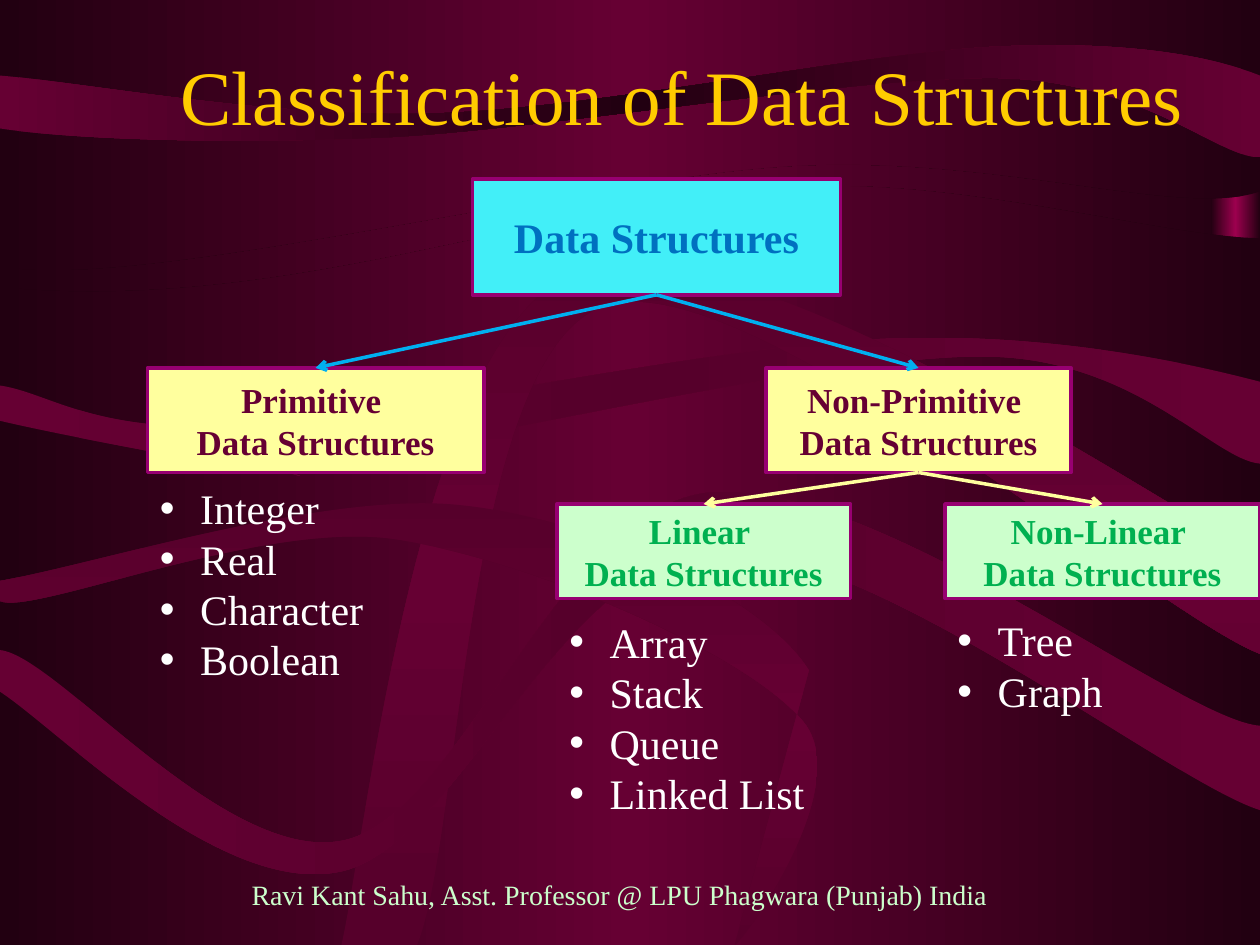
import copy

import pptx
import pptx.dml.color
import pptx.enum.shapes
import pptx.enum.text
import pptx.oxml
import pptx.oxml.ns
import pptx.util
from pptx.util import Inches

ANCHOR = pptx.enum.text.MSO_ANCHOR
ALIGN = pptx.enum.text.PP_ALIGN
DARK, WINE, PLUM = "220011", "660033", "56002B"


def colour(hex_code):
    return pptx.dml.color.RGBColor.from_string(hex_code)


def xml_child(parent, tag, **attributes):
    element = parent.makeelement(pptx.oxml.ns.qn(tag), attributes)
    parent.append(element)
    return element


def write(frame, lines, size, ink, font="Times New Roman", bold=False,
          align=ALIGN.CENTER, anchor=ANCHOR.TOP, bullet_indent=None, inset=0.05):
    """Fill a text frame with one paragraph per line."""
    frame.word_wrap = True
    frame.vertical_anchor = anchor
    frame.margin_top = frame.margin_bottom = Inches(inset)
    for number, line in enumerate(lines):
        paragraph = frame.paragraphs[0] if number == 0 else frame.add_paragraph()
        paragraph.alignment = align
        if bullet_indent:
            properties = paragraph._p.get_or_add_pPr()
            properties.set("marL", str(bullet_indent))
            properties.set("indent", str(-bullet_indent))
            xml_child(properties, "a:buFont", typeface="Arial")
            xml_child(properties, "a:buChar", char="•")
        run = paragraph.add_run()
        run.text = line
        run.font.name = font
        run.font.size = pptx.util.Pt(size)
        run.font.bold = bold
        run.font.color.rgb = colour(ink)


def blend(fill, owner, edge, middle, angle=0):
    """Gradient that runs from edge colour to middle colour and back."""
    fill.gradient()
    fill.gradient_angle = angle
    first, last = fill.gradient_stops
    first.position, last.position = 0, 1
    first.color.rgb, last.color.rgb = colour(middle), colour(edge)
    stops = owner.xpath(".//a:gsLst")[0]
    centre = copy.deepcopy(stops[0])
    centre.set("pos", "50000")
    stops.insert(1, centre)
    first.color.rgb = colour(edge)


def bend(shape, steps):
    """Join the three segments of each six-number step into one cubic curve."""
    segments = iter(shape._element.xpath(".//a:lnTo"))
    for step in steps:
        start = next(segments)
        if len(step) == 6:
            curve = start.makeelement(pptx.oxml.ns.qn("a:cubicBezTo"), {})
            start.addprevious(curve)
            for segment in (start, next(segments), next(segments)):
                curve.append(segment[0])
                segment.getparent().remove(segment)


class Diagram:
    border = "970071"
    line_width = pptx.util.Pt(2)

    def __init__(self, slide):
        self.slide = slide
        self.shapes = slide.shapes

    def background(self, edge, middle):
        fill = self.slide.background.fill
        blend(fill, self.slide.element, edge, middle)

    def ribbon(self, outline, edge, middle, angle=0):
        """Closed outline: two numbers are a corner, six a cubic curve."""
        points = [(Inches(step[i]), Inches(step[i + 1]))
                  for step in outline for i in range(0, len(step), 2)]
        builder = self.shapes.build_freeform(*points[0], scale=1.0)
        builder.add_line_segments(points[1:], close=True)
        shape = builder.convert_to_shape()
        bend(shape, outline[1:])
        self.decorate(shape, edge, middle, angle)

    def band(self, left, top, width, height, edge, middle):
        self.decorate(self.rectangle(left, top, width, height), edge, middle)

    def decorate(self, shape, edge, middle, angle=0):
        shape.shadow.inherit = False
        shape.line.fill.background()
        blend(shape.fill, shape._element.spPr, edge, middle, angle)

    def rectangle(self, left, top, width, height):
        shape = self.shapes.add_shape(
            pptx.enum.shapes.MSO_SHAPE.RECTANGLE,
            Inches(left), Inches(top), Inches(width), Inches(height))
        shape.shadow.inherit = False
        return shape

    def node(self, left, top, width, height, lines, fill, ink, size=20):
        box = self.rectangle(left, top, width, height)
        box.fill.solid()
        box.fill.fore_color.rgb = colour(fill)
        box.line.color.rgb = colour(self.border)
        box.line.width = self.line_width
        write(box.text_frame, lines, size, ink, bold=True, anchor=ANCHOR.MIDDLE)
        return box

    def arrow(self, parent, child, ink):
        """Arrow from the bottom centre of parent to the top centre of child."""
        link = self.shapes.add_connector(
            pptx.enum.shapes.MSO_CONNECTOR.STRAIGHT,
            parent.left + parent.width // 2, parent.top + parent.height,
            child.left + child.width // 2, child.top)
        link.line.color.rgb = colour(ink)
        link.line.width = self.line_width
        xml_child(link.line._get_or_add_ln(), "a:tailEnd", type="arrow")
        xml_child(link._element.spPr, "a:effectLst")

    def label(self, left, top, width, height, lines, size, ink, **style):
        box = self.shapes.add_textbox(
            Inches(left), Inches(top), Inches(width), Inches(height))
        write(box.text_frame, lines, size, ink, **style)

    def bullets(self, left, top, height, items):
        self.label(left, top, 2.33, height, items, 24, "FFFFFF", align=ALIGN.LEFT,
                   anchor=ANCHOR.BOTTOM, bullet_indent=Inches(0.32))


def main():
    deck = pptx.Presentation()
    deck.slide_width, deck.slide_height = Inches(10), Inches(7.5)
    diagram = Diagram(deck.slides.add_slide(deck.slide_layouts[6]))

    # Backdrop of flowing ribbons
    diagram.background(DARK, WINE)
    diagram.band(9.61, 0.49, 0.39, 3.45, DARK, "9C004E")
    diagram.ribbon([(0, 0), (10, 0), (10, 1.52),
                    (9.38, 1.74, 7.92, 1.22, 6.25, 1.32),
                    (4.58, 1.42, 1.04, 2.33, 0, 2.11)], DARK, WINE)
    diagram.ribbon([(0, 2.28), (1.78, 2.45, 3.4, 1.94, 4.58, 1.74),
                    (4.58, 1.74, 5.67, 1.59, 5.86, 1.55),
                    (7.15, 1.27, 9.17, 1.89, 10, 1.89),
                    (10, 7.5), (0, 7.5)], DARK, WINE)
    diagram.ribbon([(0, 0.6), (0, 1.02), (0.51, 1.1, 1.76, 1.15, 3.08, 1.09),
                    (4.4, 1.02, 6.79, 0.6, 7.94, 0.62),
                    (9.09, 0.65, 9.66, 1.25, 10, 1.25), (10, 0.6),
                    (9.65, 0.46, 9.01, 0.32, 7.92, 0.37),
                    (6.82, 0.42, 4.77, 0.86, 3.45, 0.9),
                    (2.13, 0.94, 0.72, 0.66, 0, 0.6)], WINE, DARK)
    diagram.ribbon([(0, 3.06), (0, 3.34), (0.37, 3.43, 1.75, 3.7, 2.22, 3.75),
                    (2.69, 3.8, 1.9, 3.79, 2.82, 3.64),
                    (3.75, 3.48, 6.6, 2.82, 7.8, 2.83),
                    (9, 2.83, 9.63, 3.65, 10, 3.68), (10, 3.03),
                    (9.5, 2.9, 8.36, 2.63, 7.01, 2.69),
                    (5.66, 2.74, 3.07, 3.32, 1.9, 3.38),
                    (0.73, 3.44, 0.4, 3.12, 0, 3.06)], WINE, PLUM)
    diagram.ribbon([(2.71, 7.5), (2.91, 6.61, 3.32, 2.69, 4.54, 2.18),
                    (5.75, 1.66, 9.09, 3.92, 10, 4.42), (10, 5.19),
                    (9.13, 4.85, 5.91, 2.05, 4.79, 2.43),
                    (3.68, 2.82, 3.66, 6.66, 3.31, 7.5)], PLUM, WINE, 90)
    diagram.ribbon([(0, 5.16), (0, 5.49), (0.45, 5.78, 1.74, 7.11, 2.69, 6.92),
                    (3.63, 6.74, 4.43, 4.46, 5.65, 4.37),
                    (6.87, 4.29, 9.27, 6.2, 10, 6.43), (10, 5.76),
                    (9.38, 5.72, 6.91, 3.77, 5.62, 3.91),
                    (4.41, 4.06, 3.67, 6.46, 2.73, 6.67),
                    (1.79, 6.87, 0.45, 5.2, 0, 5.16)], WINE, PLUM)
    diagram.ribbon([(0, 4.61), (0, 4.77), (0.26, 4.89, 2.08, 4.12, 3.14, 4.28),
                    (4.2, 4.44, 5.92, 5.18, 6.37, 5.72),
                    (6.82, 6.25, 5.82, 7.57, 5.83, 7.5), (6.42, 5.32),
                    (6.06, 4.74, 4.73, 4.12, 3.66, 4.01),
                    (2.59, 3.89, 0.76, 4.48, 0, 4.61)], PLUM, WINE, 90)

    # Title and footer
    diagram.label(0.83, 0.33, 9.17, 0.84, ["Classification of Data Structures"],
                  44, "FFCC00", anchor=ANCHOR.MIDDLE)
    diagram.label(1.08, 6.83, 7.67, 0.5,
                  ["Ravi Kant Sahu, Asst. Professor @ LPU Phagwara (Punjab) India"],
                  16, "CCFFCC", anchor=ANCHOR.BOTTOM, inset=0.1)

    # Tree of categories
    root = diagram.node(3.75, 1.42, 2.92, 0.92, ["Data Structures"],
                        "42EFF8", "0070C0", size=24)
    primitive, non_primitive, linear, non_linear = [
        diagram.node(*place, [kind + " ", "Data Structures"], fill, ink)
        for kind, place, fill, ink in [
            ("Primitive", (1.17, 2.92, 2.67, 0.83), "FFFF9E", WINE),
            ("Non-Primitive", (6.08, 2.92, 2.42, 0.83), "FFFF9E", WINE),
            ("Linear", (4.42, 4, 2.33, 0.75), "CCFFCC", "00B050"),
            ("Non-Linear", (7.5, 4, 2.5, 0.75), "CCFFCC", "00B050")]]
    for parent, children, ink in [(root, (non_primitive, primitive), "00B0F0"),
                                  (non_primitive, (linear, non_linear), "FFFF9E")]:
        for child in children:
            diagram.arrow(parent, child, ink)

    # Examples under each category
    diagram.bullets(1.17, 3.76, 1.72, ["Integer", "Real", "Character", "Boolean"])
    diagram.bullets(4.42, 4.76, 1.78, ["Array", "Stack", "Queue", "Linked List"])
    diagram.bullets(7.5, 4.75, 0.98, ["Tree", "Graph"])

    deck.save("out.pptx")


if __name__ == "__main__":
    main()
